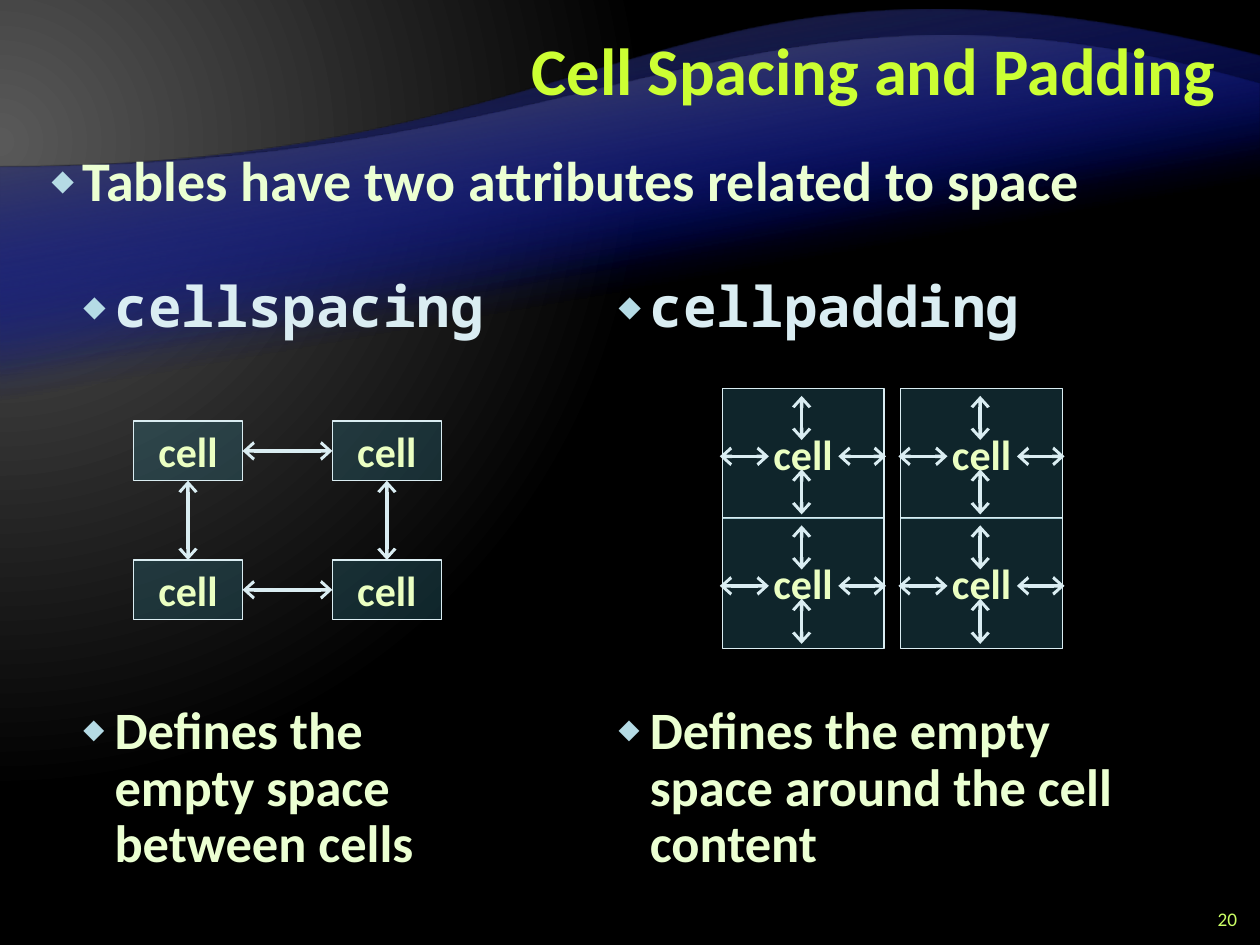
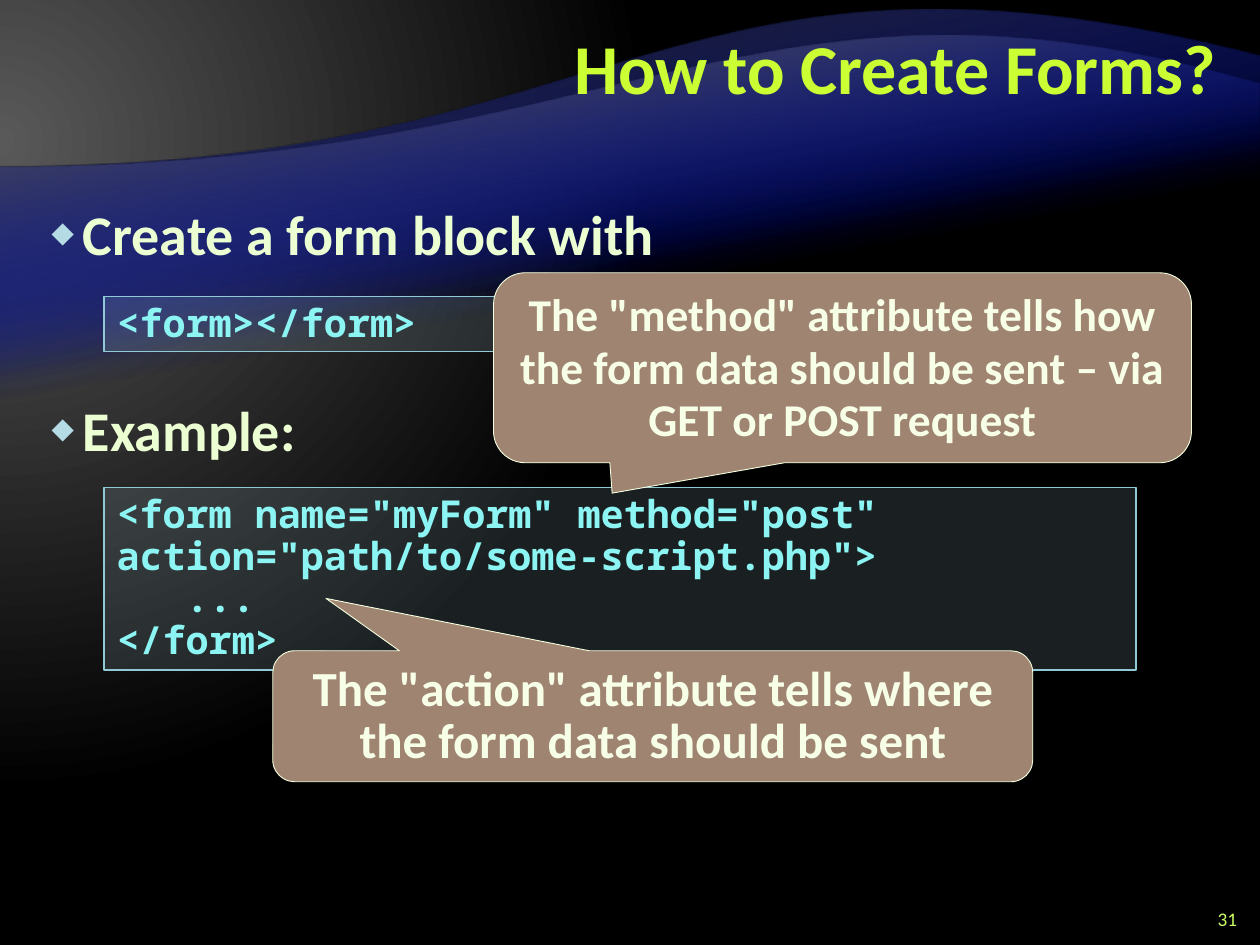
from lxml import etree
from pptx import Presentation
from pptx.dml.color import RGBColor
from pptx.enum import shapes, text
from pptx.oxml import ns, parse_xml
from pptx.util import Cm, Pt

SLIDE_W, SLIDE_H = 25.4, 19.05  # all plain lengths are centimetres
SANS, MONO = "Calibri", "Noto Sans Mono"

LIME = RGBColor(0xCC, 0xFF, 0x33)
NUMBER_LIME = RGBColor(0xCC, 0xFF, 0x66)
PALE_GREEN = RGBColor(0xEB, 0xFF, 0xD2)
CELL_TEXT = RGBColor(0xEB, 0xFF, 0xC2)
PALE_BLUE = RGBColor(0xDA, 0xED, 0xF2)
BULLET_BLUE = RGBColor(0xB5, 0xDB, 0xE5)
CELL_TEAL = RGBColor(0x33, 0x7D, 0x8F)
CODE_LINE = RGBColor(0x90, 0xCA, 0xD7)
CODE_TEXT = RGBColor(0x8C, 0xF4, 0xF2)
CALLOUT_FILL = RGBColor(0x9F, 0x84, 0x71)
CALLOUT_LINE = RGBColor(0xF5, 0xFF, 0xE0)
CALLOUT_TEXT = RGBColor(0xF7, 0xFF, 0xE7)
BLACK = RGBColor(0, 0, 0)
DARK_GREY = RGBColor(0x26, 0x26, 0x26)
GREY = RGBColor(0x59, 0x59, 0x59)
WAVE_BLUE = RGBColor(0x00, 0x0D, 0x9E)


# ---- Shared formatting ----
def child(parent, tag, **attributes):
    return etree.SubElement(parent, ns.qn(tag), attributes)


def set_gradient(owner, stops, direction):
    """Replace the solid fill of owner; stops are (percent, colour, alpha)."""
    stop_xml = "".join(
        f'<a:gs pos="{pos * 1000}"><a:srgbClr val="{color}">'
        f'<a:alpha val="{alpha * 1000}"/></a:srgbClr></a:gs>'
        for pos, color, alpha in stops)
    gradient = parse_xml(f'<a:gradFill {ns.nsdecls("a")} rotWithShape="1">'
                         f'<a:gsLst>{stop_xml}</a:gsLst>{direction}</a:gradFill>')
    owner.replace(owner.find(ns.qn("a:solidFill")), gradient)


def format_text(paragraph, size, color, font=SANS, bold=True, align=None,
                spacing=None, before=0, after=0):
    paragraph.alignment = align
    paragraph.line_spacing = spacing
    paragraph.space_before, paragraph.space_after = Pt(before), Pt(after)
    for run in paragraph.runs:
        run.font.name, run.font.size, run.font.bold = font, Pt(size), bold
        run.font.color.rgb = color


def add_bullet(paragraph):
    properties = paragraph._p.get_or_add_pPr()
    properties.set("marL", str(Cm(0.79)))
    properties.set("indent", str(-Cm(0.63)))
    color = child(properties, "a:buClr")
    child(color, "a:srgbClr", val=str(BULLET_BLUE))
    child(properties, "a:buSzPct", val="52000")
    child(properties, "a:buFont", typeface=SANS)
    child(properties, "a:buChar", char="◆")


def add_text(slide, box, content, anchor=text.MSO_ANCHOR.TOP):
    frame = slide.shapes.add_textbox(*map(Cm, box)).text_frame
    frame.word_wrap = True
    frame.vertical_anchor = anchor
    frame.text = content
    return frame.paragraphs


def add_box(parent, kind, box, fill, line, width, content, alpha=100):
    """Add a filled shape with text to a slide or a group."""
    shape = parent.shapes.add_shape(kind, *map(Cm, box))
    shape.shadow.inherit = False
    shape.fill.solid()
    shape.fill.fore_color.rgb = fill
    if alpha < 100:
        color = shape.element.spPr.find(ns.qn("a:solidFill"))[0]
        child(color, "a:alpha", val=str(alpha * 1000))
    shape.line.color.rgb, shape.line.width = line, Pt(width)
    shape.text_frame.word_wrap = True
    shape.text_frame.vertical_anchor = text.MSO_ANCHOR.TOP
    shape.text_frame.text = content
    return shape


def add_double_arrow(group, x1, y1, x2, y2):
    arrow = group.shapes.add_connector(
        shapes.MSO_CONNECTOR.STRAIGHT, Cm(x1), Cm(y1), Cm(x2), Cm(y2))
    arrow.line.color.rgb, arrow.line.width = PALE_BLUE, Pt(2)
    properties = arrow.element.spPr
    line = properties.find(ns.qn("a:ln"))
    for end in ("a:headEnd", "a:tailEnd"):
        child(line, end, type="arrow", w="lg", len="med")
    child(properties, "a:effectLst")


# ---- Master: dark background and two waves ----
def add_wave(slide, master, bottom, controls, right_top, highlight):
    """Fill from a Bezier upper edge down to bottom, and move it to the master."""
    builder = slide.shapes.build_freeform(Cm(SLIDE_W), Cm(bottom))
    builder.add_line_segments([(0, Cm(bottom)), (0, Cm(3.38)),
                               (Cm(SLIDE_W), Cm(right_top))], close=True)
    wave = builder.convert_to_shape()
    # the upper edge becomes one curve, in coordinates of the shape
    straight = wave.element.findall(".//" + ns.qn("a:lnTo"))[2]
    curve = etree.Element(ns.qn("a:cubicBezTo"))
    for x, y in (*controls, (SLIDE_W, right_top)):
        child(curve, "a:pt", x=str(Cm(x)), y=str(Cm(y) - Cm(right_top)))
    straight.getparent().replace(straight, curve)
    wave.shadow.inherit = False
    wave.line.fill.background()
    wave.fill.solid()
    set_gradient(wave.element.spPr, [(65, WAVE_BLUE, 0), (100, highlight, 100)],
                 f'<a:lin ang="{260 * 60000}" scaled="0"/>')
    master.shapes.element.append(wave.element)


def decorate_master(master, slide):
    master.background.fill.solid()
    set_gradient(master.element.find(".//" + ns.qn("p:bgPr")),
                 [(0, GREY, 100), (83, BLACK, 100)],
                 '<a:path path="circle"><a:fillToRect l="20000" t="30000" '
                 'r="135000" b="100000"/></a:path>')
    for _ in range(2):  # doubled layers deepen the blue
        add_wave(slide, master, 16.59, [(12.7, 3.38), (13.56, -1.9)], 1.14, DARK_GREY)
        add_wave(slide, master, 14.15, [(12.7, 3.38), (15.19, -1.24)], 1.7, GREY)


def start_slide(prs, heading, heading_size, number):
    slide = prs.slides.add_slide(prs.slide_layouts[5])
    title = slide.shapes.title
    title.left, title.top, title.width, title.height = map(Cm, (5.08, 0.22, 19.69, 2.54))
    title.text_frame.text = heading
    title.text_frame.auto_size = text.MSO_AUTO_SIZE.NONE
    title.text_frame.vertical_anchor = text.MSO_ANCHOR.MIDDLE
    format_text(title.text_frame.paragraphs[0], heading_size, LIME,
                align=text.PP_ALIGN.RIGHT, spacing=Pt(40))
    page = add_text(slide, (23.92, 18.21, 1.27, 0.64), str(number),
                    text.MSO_ANCHOR.MIDDLE)[0]
    format_text(page, 11, NUMBER_LIME, bold=False, align=text.PP_ALIGN.RIGHT)
    return slide


# ---- Cell spacing and padding ----
def add_attribute_column(slide, box, attribute, meaning):
    name, definition = add_text(slide, box, f"{attribute}\n{meaning}")
    format_text(name, 32, PALE_BLUE, MONO, spacing=0.9, before=6, after=6)
    # the space before the definition leaves room for the diagram
    format_text(definition, 30, PALE_GREEN, spacing=0.9, before=202, after=6)
    add_bullet(name)
    add_bullet(definition)


def add_cell(group, box):
    cell = add_box(group, shapes.MSO_SHAPE.RECTANGLE, box, CELL_TEAL, PALE_BLUE,
                   0.75, "cell", alpha=30)
    frame = cell.text_frame
    frame.word_wrap = False
    frame.vertical_anchor = text.MSO_ANCHOR.MIDDLE
    frame.margin_top = frame.margin_bottom = 0
    format_text(frame.paragraphs[0], 24, CELL_TEXT, align=text.PP_ALIGN.CENTER)


def add_spacing_diagram(slide, left, top):
    group = slide.shapes.add_group_shape()
    cell_w, cell_h, pitch_x, pitch_y = 2.2, 1.2, 4.01, 2.8
    for j in range(2):
        for i in range(2):
            add_cell(group, (left + i * pitch_x, top + j * pitch_y, cell_w, cell_h))
    for i in range(2):
        row_y = top + i * pitch_y + cell_h / 2
        column_x = left + i * pitch_x + cell_w / 2
        add_double_arrow(group, left + cell_w, row_y, left + pitch_x, row_y)
        add_double_arrow(group, column_x, top + cell_h, column_x, top + pitch_y)


def add_padding_diagram(slide, left, top):
    group = slide.shapes.add_group_shape()
    cell_w, cell_h, pitch_x, pitch_y = 3.26, 2.63, 3.6, 2.61
    paddings = [(1.6, 1.63, 1.6, 2.54), (-0.05, 1.37, 0.94, 1.37),
                (2.34, 1.37, 3.3, 1.37), (1.6, 0.15, 1.6, 1.04)]
    for i in range(2):
        for j in range(2):
            x, y = left + i * pitch_x, top + j * pitch_y
            add_cell(group, (x, y, cell_w, cell_h))
            for x1, y1, x2, y2 in paddings:
                add_double_arrow(group, x + x1, y + y1, x + x2, y + y2)


def fill_spacing_slide(slide):
    add_attribute_column(slide, (12.06, 5.51, 11.86, 12.27), "cellpadding",
                         "Defines the empty space around the cell content")
    add_attribute_column(slide, (1.27, 5.51, 9.32, 12.7), "cellspacing",
                         "Defines the empty space between cells")
    intro = add_text(slide, (0.63, 2.97, 24.13, 1.47),
                     "Tables have two attributes related to space")[0]
    format_text(intro, 32, PALE_GREEN, spacing=0.9, before=6, after=6)
    add_bullet(intro)
    add_spacing_diagram(slide, 2.69, 8.49)
    add_padding_diagram(slide, 14.56, 7.83)


# ---- Creating forms ----
def add_code(slide, top, height, code):
    block = add_box(slide, shapes.MSO_SHAPE.RECTANGLE, (2.1, top, 20.8, height),
                    BULLET_BLUE, CODE_LINE, 1, code, alpha=15)
    for line in block.text_frame.paragraphs:
        format_text(line, 22, CODE_TEXT, MONO, align=text.PP_ALIGN.LEFT, spacing=Pt(24))
        if line.text == "...":  # form content is indented by three characters
            line._p.get_or_add_pPr().set("marL", str(Cm(1.4)))


def add_callout(slide, box, tip, size, explanation):
    callout = add_box(slide, shapes.MSO_SHAPE.ROUNDED_RECTANGULAR_CALLOUT, box,
                      CALLOUT_FILL, CALLOUT_LINE, 0.5, explanation)
    callout.adjustments[0], callout.adjustments[1] = tip
    callout.adjustments[2] = 0.167
    format_text(callout.text_frame.paragraphs[0], size, CALLOUT_TEXT,
                align=text.PP_ALIGN.CENTER, spacing=Pt(30))


def fill_forms_slide(slide):
    steps = add_text(slide, (0.63, 3.91, 24.13, 11.53),
                     "Create a form block with\nExample:")
    for step, before in zip(steps, (12, 68)):
        format_text(step, 32, PALE_GREEN, spacing=Pt(38), before=before, after=6)
        add_bullet(step)
    add_code(slide, 5.98, 1.11, "<form></form>")
    add_code(slide, 9.83, 3.68,
             '<form name="myForm" method="post" action="path/to/some-script.php">'
             '\n...\n</form>')
    add_callout(slide, (5.5, 13.12, 15.32, 2.64), (-0.43, -0.9), 28,
                'The "action" attribute tells where the form data should be sent')
    add_callout(slide, (9.95, 5.5, 14.07, 3.83), (-0.33, 0.66), 26,
                'The "method" attribute tells how the form data should be sent'
                ' – via GET or POST request')


def main():
    prs = Presentation()
    prs.slide_width, prs.slide_height = Cm(SLIDE_W), Cm(SLIDE_H)
    spacing_slide = start_slide(prs, "Cell Spacing and Padding", 38, 20)
    decorate_master(prs.slide_master, spacing_slide)
    fill_spacing_slide(spacing_slide)
    fill_forms_slide(start_slide(prs, "How to Create Forms?", 40, 31))
    prs.save("out.pptx")


if __name__ == "__main__":
    main()
